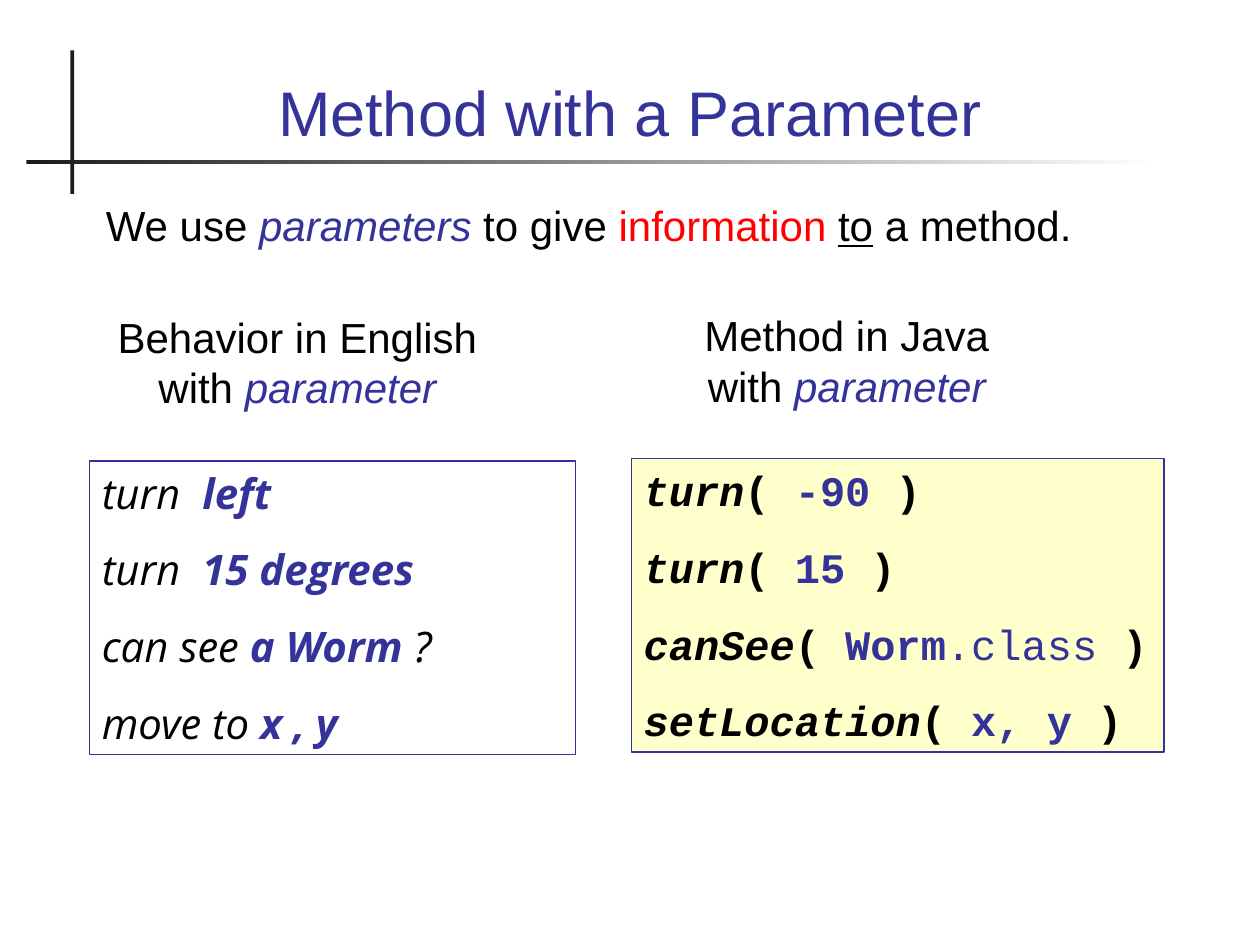
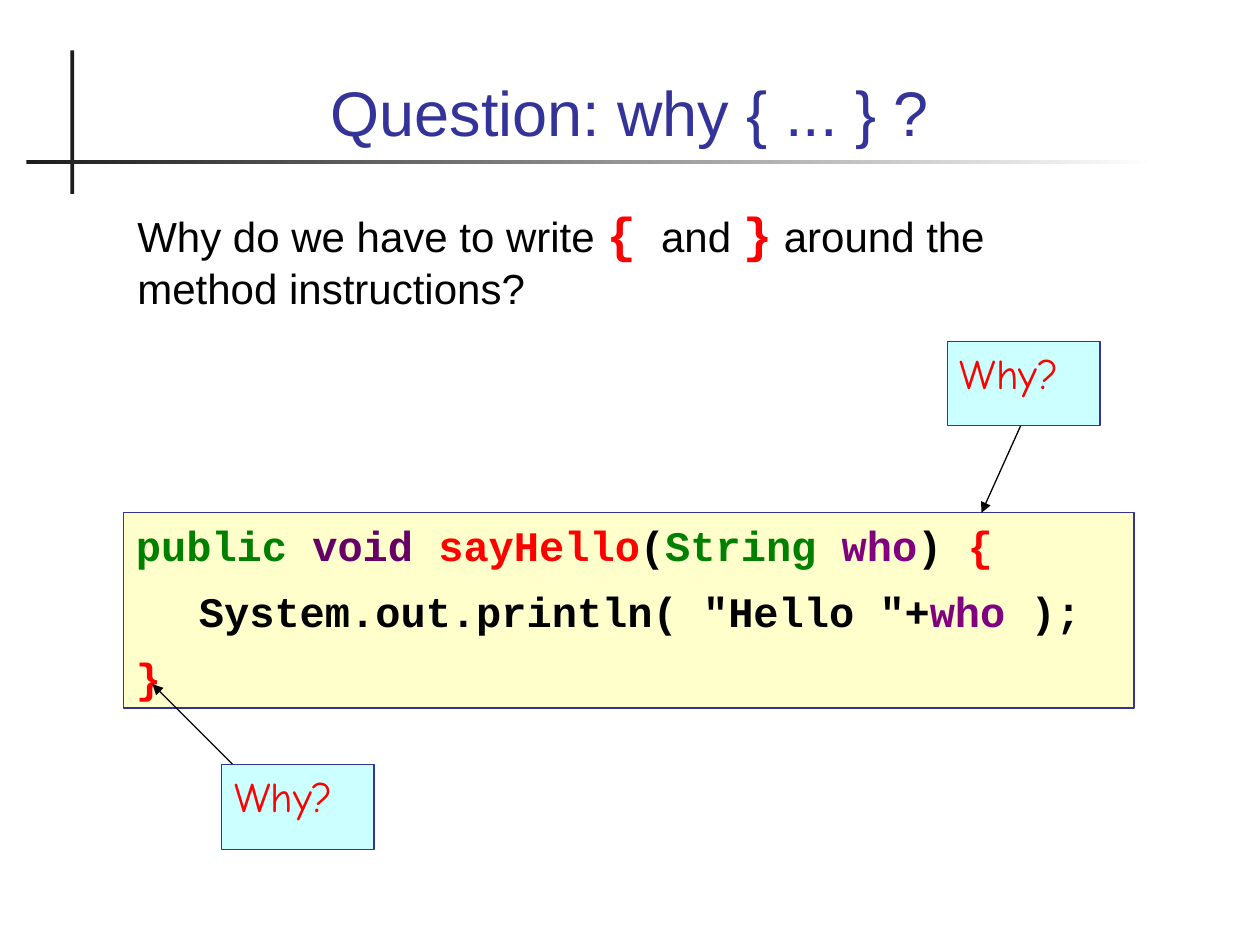
"""Build two slides on Java method parameters and braces."""
from lxml.etree import SubElement
from pptx import Presentation
from pptx.dml.color import RGBColor as RGB
from pptx.enum.shapes import MSO_CONNECTOR, MSO_SHAPE
from pptx.enum.text import MSO_ANCHOR, MSO_AUTO_SIZE, PP_ALIGN
from pptx.oxml.ns import qn
from pptx.util import Pt

PX = 9144
INDIGO, BLACK, RED = RGB(0x33, 0x33, 0x99), RGB(0, 0, 0), RGB(0xFF, 0, 0)
GREEN, PURPLE, PLUM = RGB(0, 0x80, 0), RGB(0x80, 0, 0x80), RGB(0x66, 0, 0x66)
WHITE, CHARCOAL = RGB(0xFF, 0xFF, 0xFF), RGB(0x1C, 0x1C, 0x1C)
CREAM, AQUA = RGB(0xFF, 0xFF, 0xCC), RGB(0xCC, 0xFF, 0xFF)
SANS, MONO, HUMANIST, COMIC = "Arial", "Courier New", "Open Sans", "Comic Neue"
TITLE_AT = (67, 28, 866, 95)
TAB = 49
BREAK = "\v"


def call(name, *args):
    return [(name, BLACK, "bi"), ("( ", BLACK, "b"), *args, (")", BLACK, "b")]


def heading(first_line):
    return [[(first_line, BLACK), (BREAK, BLACK), ("with ", BLACK), ("parameter", INDIGO, "i")]]


PARAMETER_INTRO = [[
    ("We use ", BLACK), ("parameters", INDIGO, "i"), (" to give ", BLACK),
    ("information ", RED), ("to", BLACK, "u"), (" a method.", BLACK)]]
ENGLISH = [
    [("turn  ", BLACK, "i"), ("left", INDIGO, "bi")],
    [("turn  ", BLACK, "i"), ("15 degrees", INDIGO, "bi")],
    [("can see ", BLACK, "i"), ("a Worm", INDIGO, "bi"), (" ?", BLACK, "i")],
    [("move to ", BLACK, "i"), ("x , y", INDIGO, "bi")]]
JAVA = [
    call("turn", ("-90 ", INDIGO, "b")),
    call("turn", ("15 ", INDIGO, "b")),
    call("canSee", ("Worm", INDIGO, "b"), (".class ", INDIGO)),
    call("setLocation", ("x, y ", INDIGO, "b"))]
COLUMNS = [
    ("Behavior in English", (69, 242, 334, 90), ENGLISH, (71, 366, 386, 233), HUMANIST, None),
    ("Method in Java", (505, 241, 334, 90), JAVA, (501, 364, 423, 233), MONO, CREAM)]
BRACE_QUESTION = [[
    ("Why do we have to write ", BLACK), ("{", RED, "b", MONO, 28), (" ", BLACK, "b", MONO),
    ("and ", BLACK), ("}", RED, "b", MONO, 28), (" around the method instructions?", BLACK)]]
SAY_HELLO = [
    [("public ", GREEN, "b"), ("void ", PLUM, "b"), ("sayHello", RED, "b"), ("(", BLACK, "b"),
     ("String ", GREEN, "b"), ("who", PURPLE, "b"), (") ", BLACK, "b"), ("{", RED, "b")],
    [('\tSystem.out.println( "Hello "+', BLACK, "b"), ("who", PURPLE, "b"), (" );", BLACK, "b")],
    [("}", RED, "b")]]
WHY_NOTES = [
    ((752, 271, 121, 67), (810, 338), (779, 407)),
    ((176, 607, 121, 67), (186, 608), (121, 543))]


def emu(lengths):
    return [n * PX for n in lengths]


def place(sp, at):
    sp.left, sp.top, sp.width, sp.height = emu(at)


def write(sp, paragraphs, font=SANS, size=24, before=15, align=PP_ALIGN.LEFT,
          anchor=MSO_ANCHOR.TOP):
    tf = sp.text_frame
    tf.word_wrap, tf.auto_size, tf.vertical_anchor = True, MSO_AUTO_SIZE.NONE, anchor
    for i, runs in enumerate(paragraphs):
        p = tf.add_paragraph() if i else tf.paragraphs[0]
        p.alignment = align
        p.line_spacing = Pt(size * 1.2)
        p.space_before = Pt(before if i else 0)
        pPr = p._p.get_or_add_pPr()
        pPr.set("marL", "0")
        pPr.set("indent", "0")
        SubElement(pPr, qn("a:buNone"))
        tabs = SubElement(pPr, qn("a:tabLst"))
        SubElement(tabs, qn("a:tab"), pos=str(TAB * PX), algn="l")
        for run in runs:
            if run[0] == BREAK:
                p.add_line_break()
            else:
                add_run(p, font, size, *run)


def add_run(p, font, size, text, color, style="", own_font=None, own_size=None):
    r = p.add_run()
    r.text = text
    r.font.name, r.font.size = own_font or font, Pt(own_size or size)
    r.font.color.rgb = color
    r.font.bold, r.font.italic, r.font.underline = (flag in style for flag in "biu")


def add_box(slide, at, fill=None, line=INDIGO):
    sp = slide.shapes.add_shape(MSO_SHAPE.RECTANGLE, *emu(at))
    sp.shadow.inherit = False
    if fill is None:
        sp.fill.background()
    else:
        sp.fill.solid()
        sp.fill.fore_color.rgb = fill
    if line is None:
        sp.line.fill.background()
    else:
        sp.line.color.rgb, sp.line.width = line, Pt(0.75)
    return sp


def add_arrow(slide, start, end):
    cx = slide.shapes.add_connector(MSO_CONNECTOR.STRAIGHT, *emu(start + end))
    cx.line.color.rgb, cx.line.width = BLACK, Pt(0.75)
    SubElement(cx.line._get_or_add_ln(), qn("a:tailEnd"), type="triangle")
    SubElement(cx._element.spPr, qn("a:effectLst"))


def add_layout_rules(slide):
    upright = add_box(slide, (56, 40, 3, 114), CHARCOAL, None)
    level = add_box(slide, (21, 127, 899, 3), CHARCOAL, None)
    level.fill.gradient()
    level.fill.gradient_angle = 0
    for stop, color in zip(level.fill.gradient_stops, (CHARCOAL, WHITE)):
        stop.color.rgb = color
    for sp in (upright, level):
        slide.slide_layout.shapes._spTree.append(sp._element)


def add_slide(prs, title, body, body_at):
    slide = prs.slides.add_slide(prs.slide_layouts[1])
    place(slide.shapes.title, TITLE_AT)
    write(slide.shapes.title, [[(title, INDIGO)]], size=36, align=PP_ALIGN.CENTER,
          anchor=MSO_ANCHOR.BOTTOM)
    place(slide.placeholders[1], body_at)
    write(slide.placeholders[1], body)
    return slide


def main():
    prs = Presentation()
    prs.slide_width, prs.slide_height = emu((1000, 750))

    slide = add_slide(prs, "Method with a Parameter", PARAMETER_INTRO, (74, 153, 866, 86))
    add_layout_rules(slide)
    for title, title_at, lines, at, font, fill in COLUMNS:
        label = slide.shapes.add_textbox(*emu(title_at))
        write(label, heading(title), align=PP_ALIGN.CENTER)
        write(add_box(slide, at, fill), lines, font)

    slide = add_slide(prs, "Question: why { ... } ?", BRACE_QUESTION, (99, 163, 795, 97))
    write(add_box(slide, (98, 407, 802, 155), CREAM), SAY_HELLO, MONO, before=9)
    for at, start, end in WHY_NOTES:
        add_arrow(slide, start, end)
        write(add_box(slide, at, AQUA), [[("Why?", RED)]], COMIC)

    prs.save("out.pptx")


if __name__ == "__main__":
    main()
